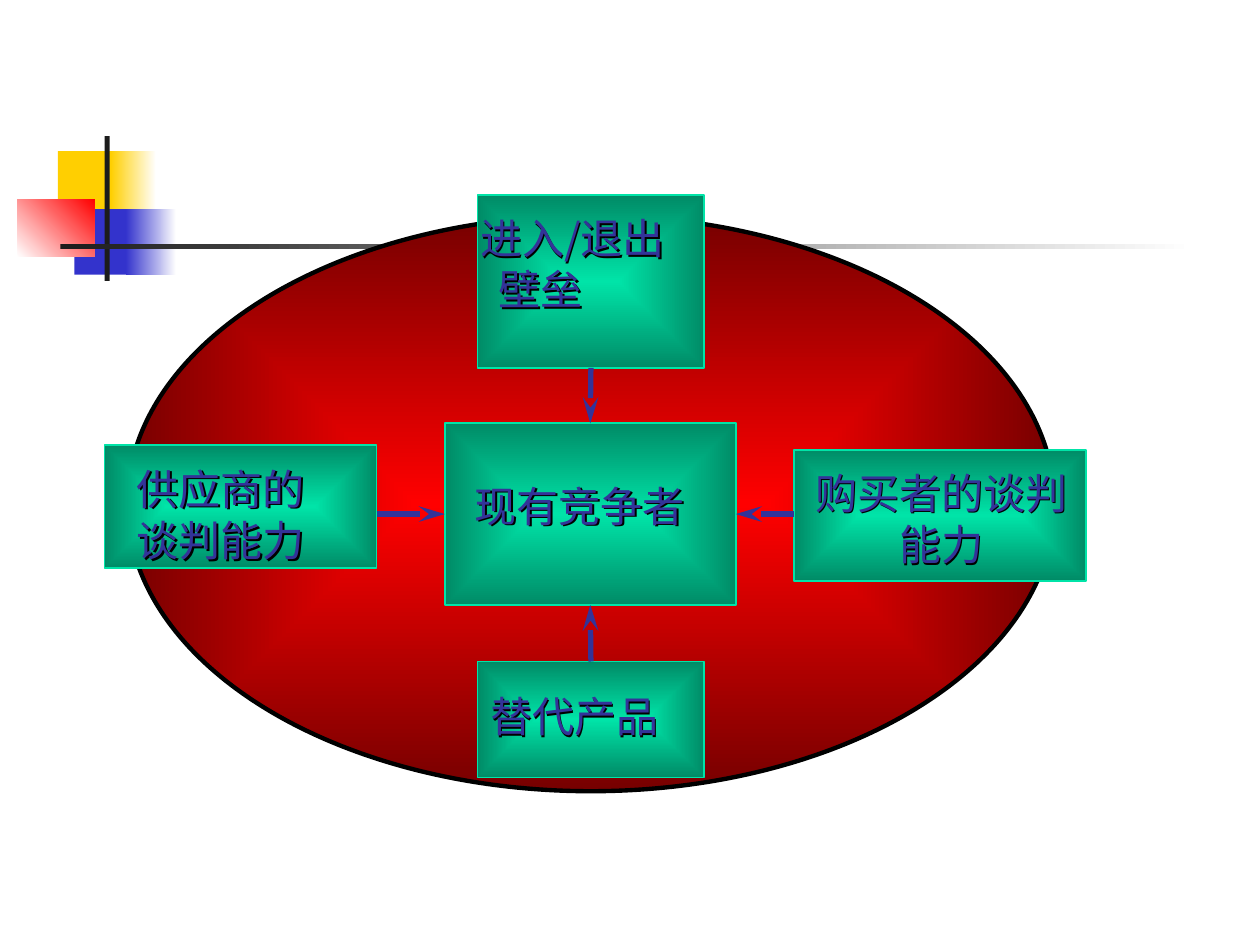
from dataclasses import dataclass

from pptx import Presentation
from pptx.dml.color import RGBColor
from pptx.enum.shapes import MSO_CONNECTOR, MSO_SHAPE
from pptx.enum.text import PP_ALIGN
from pptx.oxml import parse_xml
from pptx.oxml.ns import nsdecls, qn
from pptx.util import Inches, Pt

RECT, OVAL = MSO_SHAPE.RECTANGLE, MSO_SHAPE.OVAL
STRAIGHT = MSO_CONNECTOR.STRAIGHT
LEFT, CENTER = PP_ALIGN.LEFT, PP_ALIGN.CENTER
TOP_SIDE, LEFT_SIDE, BOTTOM_SIDE, RIGHT_SIDE = range(4)


@dataclass(frozen=True)
class Theme:
    font: str = "Noto Sans CJK SC"
    size: float = 24
    line_spacing: float = 0.5
    space_after: float = 15
    ink: str = "333399"
    black: str = "000000"
    white: str = "FFFFFF"
    charcoal: str = "1C1C1C"
    yellow: str = "FFCF01"
    blue: str = "3333CC"
    red: str = "FF0000"
    dark_red: str = "760000"
    green: str = "00E4A8"
    dark_green: str = "008B66"


THEME = Theme()


def rgb(value):
    return RGBColor.from_string(value)


def add_area(slide, geometry, box, colors, angle=0, outline=None):
    area = slide.shapes.add_shape(geometry, *map(Inches, box))
    area.shadow.inherit = False
    if len(colors) == 1:
        area.fill.solid()
        area.fill.fore_color.rgb = rgb(colors[0])
    else:
        area.fill.gradient()
        area.fill.gradient_angle = angle
        for stop, color in zip(area.fill.gradient_stops, colors):
            stop.color.rgb = rgb(color)
    if outline:
        color, width = outline
        area.line.color.rgb = rgb(color)
        area.line.width = Pt(width)
    else:
        area.line.fill.background()
    return area


def add_glowing_area(slide, geometry, box, colors, outline):
    area = add_area(slide, geometry, box, colors, outline=outline)
    gradient = area._element.spPr.find(qn("a:gradFill"))
    gradient.replace(gradient.find(qn("a:lin")), parse_xml(
        f'<a:path {nsdecls("a")} path="rect">'
        '<a:fillToRect l="50000" t="50000" r="50000" b="50000"/></a:path>'))
    return area


def add_force(slide, box):
    return add_glowing_area(slide, RECT, box, (THEME.green, THEME.dark_green),
                            (THEME.green, 1))


def add_arrow(slide, start, rivals, side, source=None):
    x, y = map(Inches, start)
    arrow = slide.shapes.add_connector(STRAIGHT, x, y, x, y)
    if source:
        arrow.begin_connect(*source)
    arrow.end_connect(rivals, side)
    arrow.line.color.rgb = rgb(THEME.ink)
    arrow.line.width = Pt(3)
    arrow.line._get_or_add_ln().append(
        parse_xml(f'<a:tailEnd {nsdecls("a")} type="stealth" len="lg"/>'))
    arrow._element.spPr.append(parse_xml(f'<a:effectLst {nsdecls("a")}/>'))


def style_paragraph(paragraph):
    font = paragraph.font
    font.size = Pt(THEME.size)
    font.color.rgb = rgb(THEME.ink)
    font.name = THEME.font
    font._element.find(qn("a:latin")).addnext(parse_xml(
        f'<a:ea {nsdecls("a")} typeface="{THEME.font}"/>'))


def add_label(slide, box, lines, align=LEFT, last_indent=0):
    label = slide.shapes.add_textbox(*map(Inches, box))
    label._element.spPr.append(parse_xml(
        f'<a:effectLst {nsdecls("a")}><a:outerShdw dist="17961" dir="2700000">'
        f'<a:srgbClr val="{THEME.black}"/></a:outerShdw></a:effectLst>'))
    frame = label.text_frame
    frame.word_wrap = True
    frame.margin_left = frame.margin_right = 0
    frame.margin_top = frame.margin_bottom = 0
    frame.text = "\n".join(lines)
    for paragraph in frame.paragraphs:
        paragraph.alignment = align
        if len(lines) > 1:
            paragraph.line_spacing = THEME.line_spacing
            paragraph.space_after = Pt(THEME.space_after)
        style_paragraph(paragraph)
    if last_indent:
        properties = frame.paragraphs[-1]._p.get_or_add_pPr()
        properties.set("marL", str(Inches(last_indent)))
        properties.set("indent", "0")


def add_decoration(slide):
    t = THEME
    for box, colors, angle in (
        ((0.46, 1.2, 0.48, 0.52), (t.yellow,), 0),
        ((0.88, 1.2, 0.36, 0.52), (t.yellow, t.white), 0),
        ((0.59, 1.66, 0.46, 0.52), (t.blue,), 0),
        ((1, 1.66, 0.4, 0.52), (t.blue, t.white), 0),
        ((0.14, 1.58, 0.61, 0.46), (t.white, t.red), 45),
        ((0.83, 1.08, 0.04, 1.15), (t.charcoal,), 0),
        ((0.48, 1.94, 9, 0.04), (t.charcoal, t.white), 0),
    ):
        add_area(slide, RECT, box, colors, angle)


def add_five_forces(slide):
    add_glowing_area(slide, OVAL, (1.01, 1.71, 7.36, 4.57),
                     (THEME.red, THEME.dark_red), (THEME.black, 2.5))
    add_force(slide, (0.83, 3.53, 2.16, 0.98))
    add_force(slide, (6.3, 3.57, 2.32, 1.04))
    barriers = add_force(slide, (3.79, 1.55, 1.8, 1.37))
    substitutes = add_force(slide, (3.79, 5.25, 1.8, 0.92))
    rivals = add_force(slide, (3.53, 3.36, 2.31, 1.44))

    add_arrow(slide, (2.99, 4.08), rivals, LEFT_SIDE)
    add_arrow(slide, (6.3, 4.08), rivals, RIGHT_SIDE)
    add_arrow(slide, (4.69, 2.92), rivals, TOP_SIDE, (barriers, BOTTOM_SIDE))
    add_arrow(slide, (4.69, 5.25), rivals, BOTTOM_SIDE, (substitutes, TOP_SIDE))

    add_label(slide, (3.89, 5.48, 1.54, 0.4), ["替代产品"])
    add_label(slide, (3.81, 1.86, 1.85, 0.61), ["进入/退出", "壁垒"],
              last_indent=0.15)
    add_label(slide, (0.83, 3.85, 1.84, 0.61), ["供应商的", "谈判能力"], CENTER)
    add_label(slide, (6.29, 3.88, 2.36, 0.61), ["购买者的谈判", "能力"], CENTER)
    add_label(slide, (3.77, 3.81, 1.97, 0.4), ["现有竞争者"])


def main():
    deck = Presentation()
    deck.slide_width, deck.slide_height = Inches(10), Inches(7.5)
    slide = deck.slides.add_slide(deck.slide_layouts[6])
    add_decoration(slide)
    add_five_forces(slide)
    deck.save("out.pptx")


if __name__ == "__main__":
    main()
